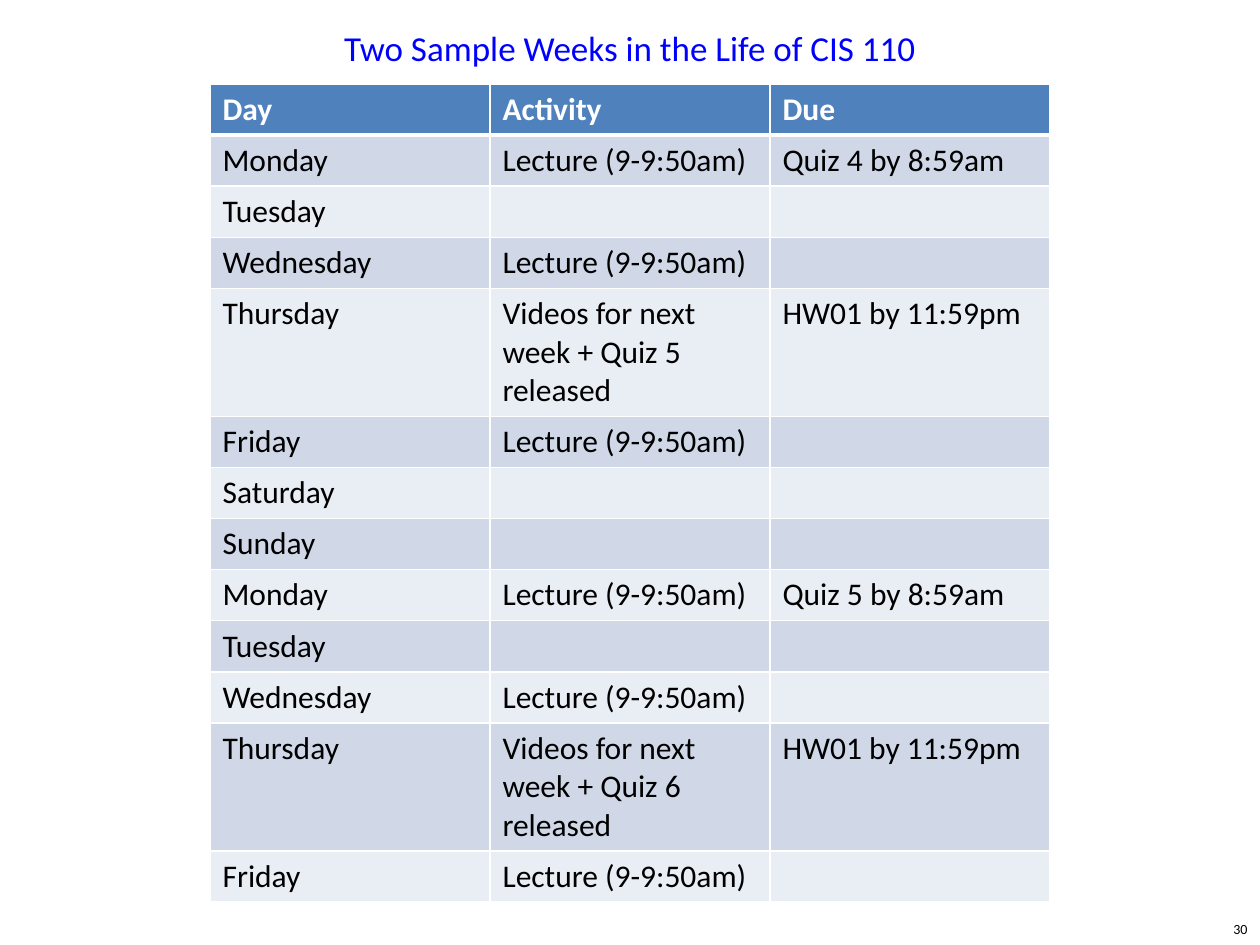
from lxml import etree
from pptx import Presentation
from pptx.dml.color import RGBColor
from pptx.enum.text import MSO_ANCHOR, MSO_AUTO_SIZE, PP_ALIGN
from pptx.oxml.ns import qn
from pptx.util import Pt

MIDDLE = MSO_ANCHOR.MIDDLE
NO_AUTOFIT = MSO_AUTO_SIZE.NONE
CENTER, RIGHT = PP_ALIGN.CENTER, PP_ALIGN.RIGHT

FONT = "Calibri"
BLUE = RGBColor(0x00, 0x00, 0xFF)
BLACK = RGBColor(0x00, 0x00, 0x00)
WHITE = RGBColor(0xFF, 0xFF, 0xFF)
HEADER_FILL = RGBColor(0x4F, 0x81, 0xBD)
BAND_FILLS = [RGBColor(0xE9, 0xED, 0xF4), RGBColor(0xD0, 0xD8, 0xE8)]

LECTURE = "Lecture (9-9:50am)"
HOMEWORK = "HW01 by 11:59pm"
ROWS = [
    ("Day", "Activity", "Due"),
    ("Monday", LECTURE, "Quiz 4 by 8:59am"),
    ("Tuesday", "", ""),
    ("Wednesday", LECTURE, ""),
    ("Thursday", "Videos for next week + Quiz 5 released", HOMEWORK),
    ("Friday", LECTURE, ""),
    ("Saturday", "", ""),
    ("Sunday", "", ""),
    ("Monday", LECTURE, "Quiz 5 by 8:59am"),
    ("Tuesday", "", ""),
    ("Wednesday", LECTURE, ""),
    ("Thursday", "Videos for next week + Quiz 6 released", HOMEWORK),
    ("Friday", LECTURE, ""),
]
ROW_HEIGHT = 29.2
COLUMN_WIDTH = 160


def add_text(p, text, size, color, bold=False):
    p.font.size = Pt(size)
    p.font.name = FONT
    if text:
        r = p.add_run()
        r.text = text
        r.font.name = FONT
        r.font.size = Pt(size)
        r.font.bold = bold
        r.font.color.rgb = color


def add_border(cell, side, width):
    ln = etree.SubElement(cell._tc.get_or_add_tcPr(), qn(f"a:ln{side}"), w=str(Pt(width)))
    fill = etree.SubElement(ln, qn("a:solidFill"))
    etree.SubElement(fill, qn("a:srgbClr"), val=str(WHITE))


prs = Presentation()
prs.slide_width, prs.slide_height = Pt(720), Pt(540)
s = prs.slides.add_slide(prs.slide_layouts[5])

title = s.shapes.title
title.left, title.top, title.width, title.height = Pt(0), Pt(12), Pt(720), Pt(36)
tf = title.text_frame
tf.auto_size = NO_AUTOFIT
tf.vertical_anchor = MIDDLE
p = tf.paragraphs[0]
p.alignment = CENTER
p.line_spacing = 0.7
add_text(p, "Two Sample Weeks in the Life of CIS 110", 20, BLUE)

schedule = s.shapes.add_table(
    len(ROWS), 3, Pt(120), Pt(48), Pt(3 * COLUMN_WIDTH), Pt(len(ROWS) * ROW_HEIGHT)
).table
for column in schedule.columns:
    column.width = Pt(COLUMN_WIDTH)
for i, values in enumerate(ROWS):
    schedule.rows[i].height = Pt(ROW_HEIGHT)
    header = i == 0
    for j, value in enumerate(values):
        cell = schedule.cell(i, j)
        add_border(cell, "L", 1)
        add_border(cell, "R", 1)
        add_border(cell, "T", 3 if i == 1 else 1)
        add_border(cell, "B", 3 if header else 1)
        cell.fill.solid()
        cell.fill.fore_color.rgb = HEADER_FILL if header else BAND_FILLS[i % 2]
        add_text(cell.text_frame.paragraphs[0], value, 18, WHITE if header else BLACK, header)

page_number = s.shapes.add_textbox(Pt(570), Pt(522), Pt(150), Pt(18))
tf = page_number.text_frame
tf.word_wrap = False
tf.vertical_anchor = MIDDLE
p = tf.paragraphs[0]
p.alignment = RIGHT
add_text(p, "30", 8, BLACK)

prs.save("out.pptx")
